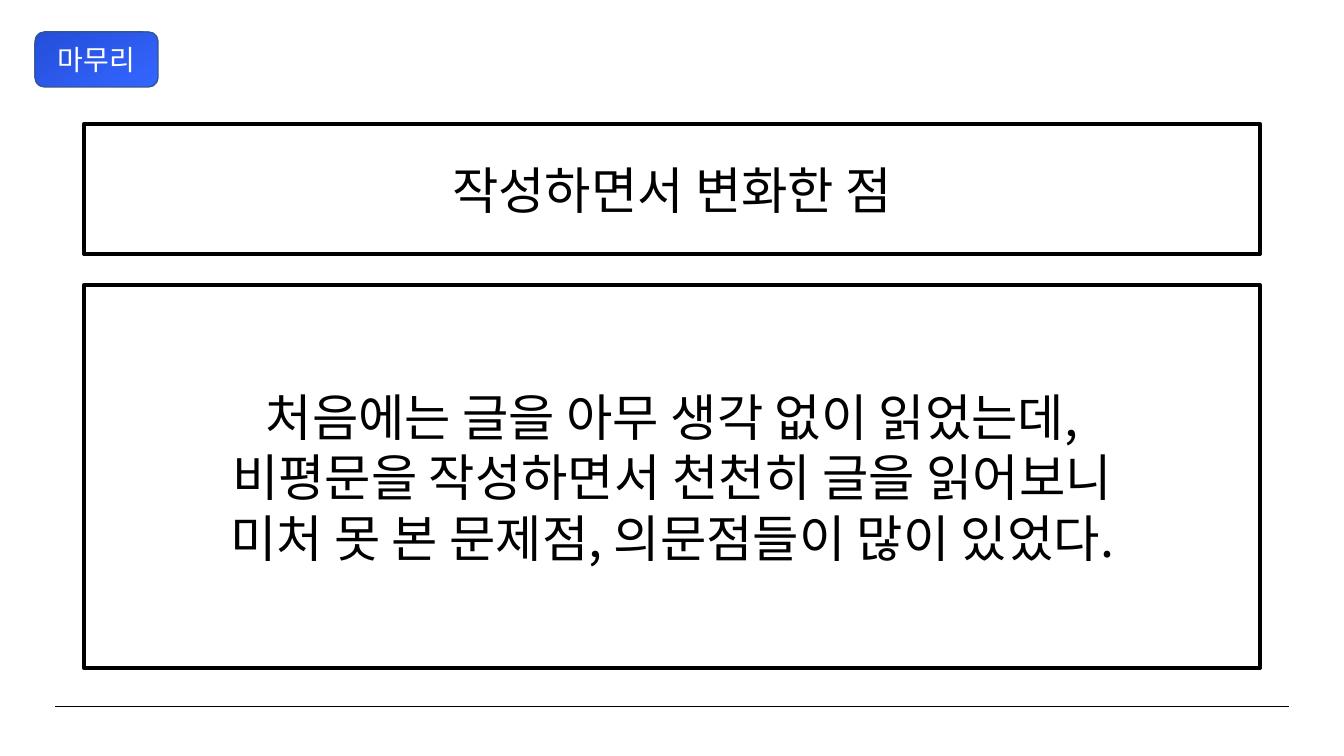
from lxml import etree
from pptx import Presentation
from pptx import util as u
from pptx.dml import color
from pptx.enum import shapes, text
from pptx.oxml import ns

SCALE = 914400 / 100.8  # EMU per pixel

THEME = {
    "font": "Noto Sans CJK KR",
    "ink": "000000",
    "white": "FFFFFF",
    "blue": "3366FF",
    "navy": "254EDB",
    "edge": "325491",
    "body": 36,
    "tag": 20,
}


def px(*vals):
    return [u.Emu(round(v * SCALE)) for v in vals]


def write(shape, words, size=THEME["body"], ink=THEME["ink"]):
    frame = shape.text_frame
    frame.word_wrap = True
    frame.vertical_anchor = text.MSO_ANCHOR.MIDDLE
    frame.text = words
    for para in frame.paragraphs:
        para.alignment = text.PP_ALIGN.CENTER
        font = para.runs[0].font
        font.size = u.Pt(size)
        font.name = THEME["font"]
        font.color.rgb = color.RGBColor.from_string(ink)
        # Hangul takes the East Asian font
        east = etree.SubElement(para.runs[0]._r.get_or_add_rPr(), ns.qn("a:ea"))
        east.set("typeface", THEME["font"])


deck = Presentation()
deck.slide_width, deck.slide_height = px(1344, 756)
slide = deck.slides.add_slide(deck.slide_layouts[6])
ink = color.RGBColor.from_string(THEME["ink"])

# Footer rule
rule = slide.shapes.add_connector(
    shapes.MSO_CONNECTOR.STRAIGHT, *px(55, 706, 1289, 706))
rule.line.color.rgb = ink
rule.line.width = u.Pt(0.5)
etree.SubElement(rule._element.spPr, ns.qn("a:effectLst"))

# Title and body boxes
boxes = [
    (124, 130, "작성하면서 변화한 점"),
    (285, 383, "처음에는 글을 아무 생각 없이 읽었는데,\n"
               "비평문을 작성하면서 천천히 글을 읽어보니\n"
               "미처 못 본 문제점, 의문점들이 많이 있었다."),
]
for top, high, words in boxes:
    box = slide.shapes.add_shape(
        shapes.MSO_SHAPE.RECTANGLE, *px(84, top, 1176, high))
    box.shadow.inherit = False
    box.fill.background()
    box.line.color.rgb = ink
    box.line.width = u.Pt(3)
    write(box, words)

# Section tag
tag = slide.shapes.add_shape(
    shapes.MSO_SHAPE.ROUNDED_RECTANGLE, *px(35, 32, 123, 55))
tag.shadow.inherit = False
tag.adjustments[0] = 0.17
tag.fill.gradient()
tag.fill.gradient_angle = 120
for stop, tone in zip(tag.fill.gradient_stops, ("blue", "navy")):
    stop.color.rgb = color.RGBColor.from_string(THEME[tone])
tag.line.color.rgb = color.RGBColor.from_string(THEME["edge"])
tag.line.width = u.Pt(1)
write(tag, "마무리", size=THEME["tag"], ink=THEME["white"])

deck.save("out.pptx")
